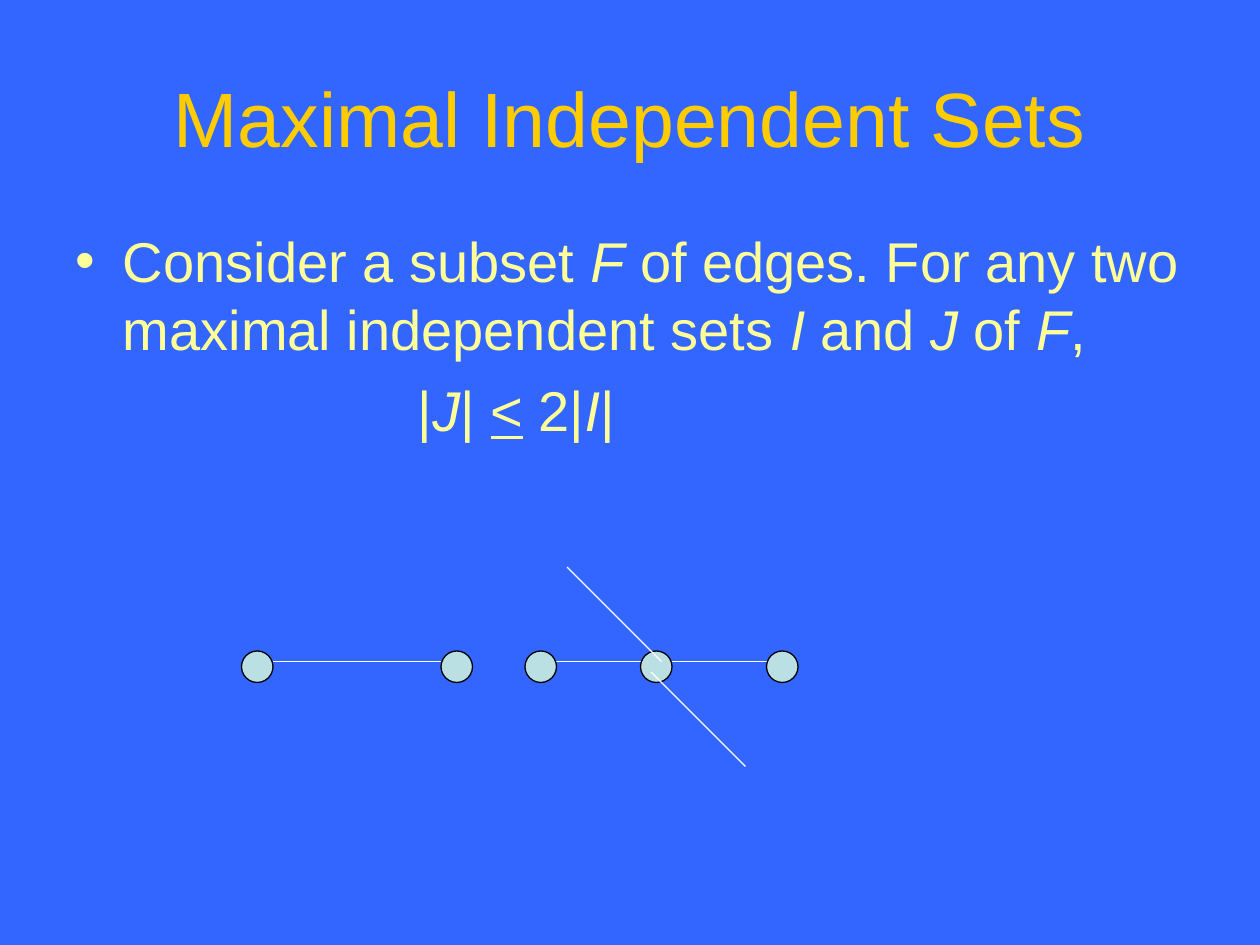
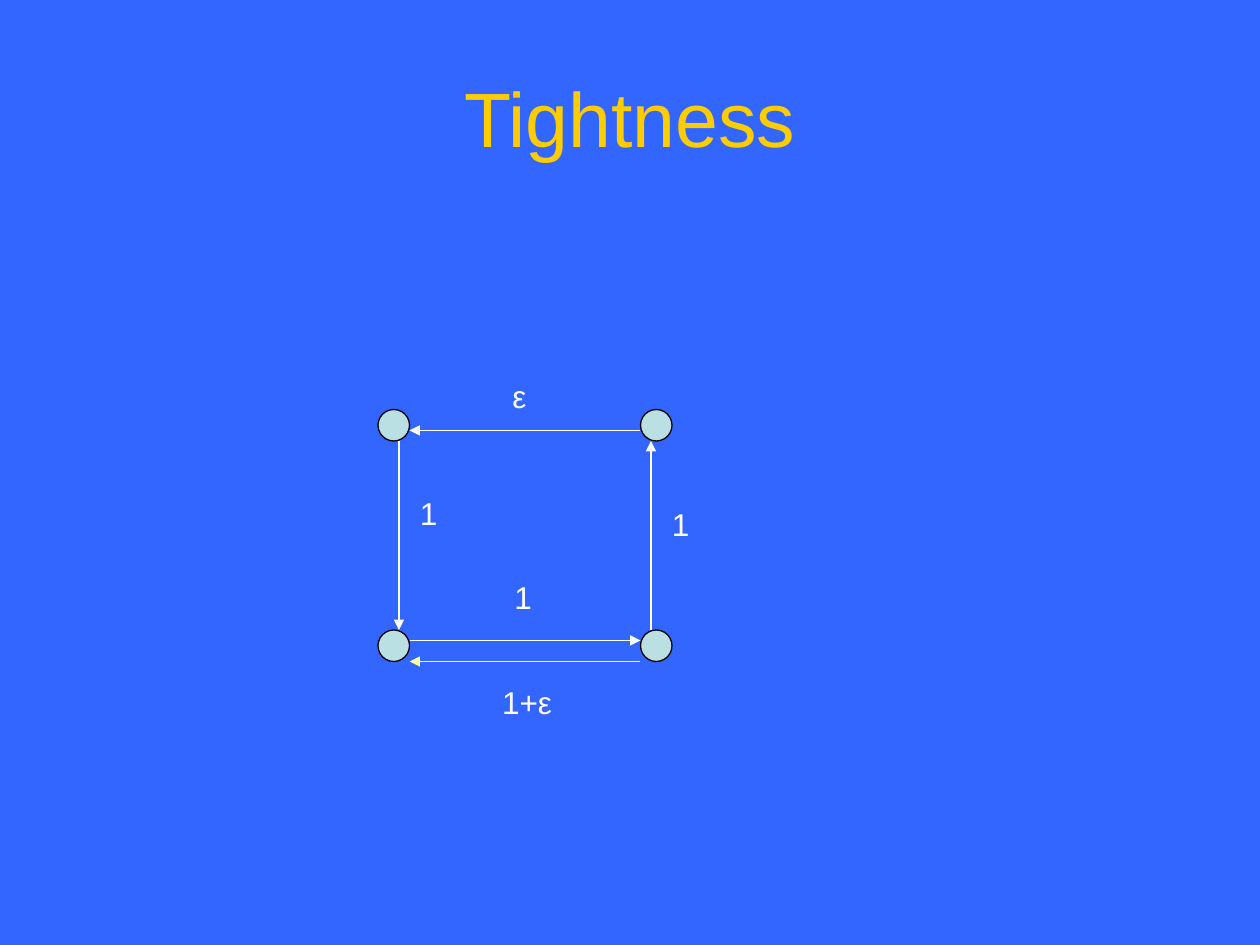
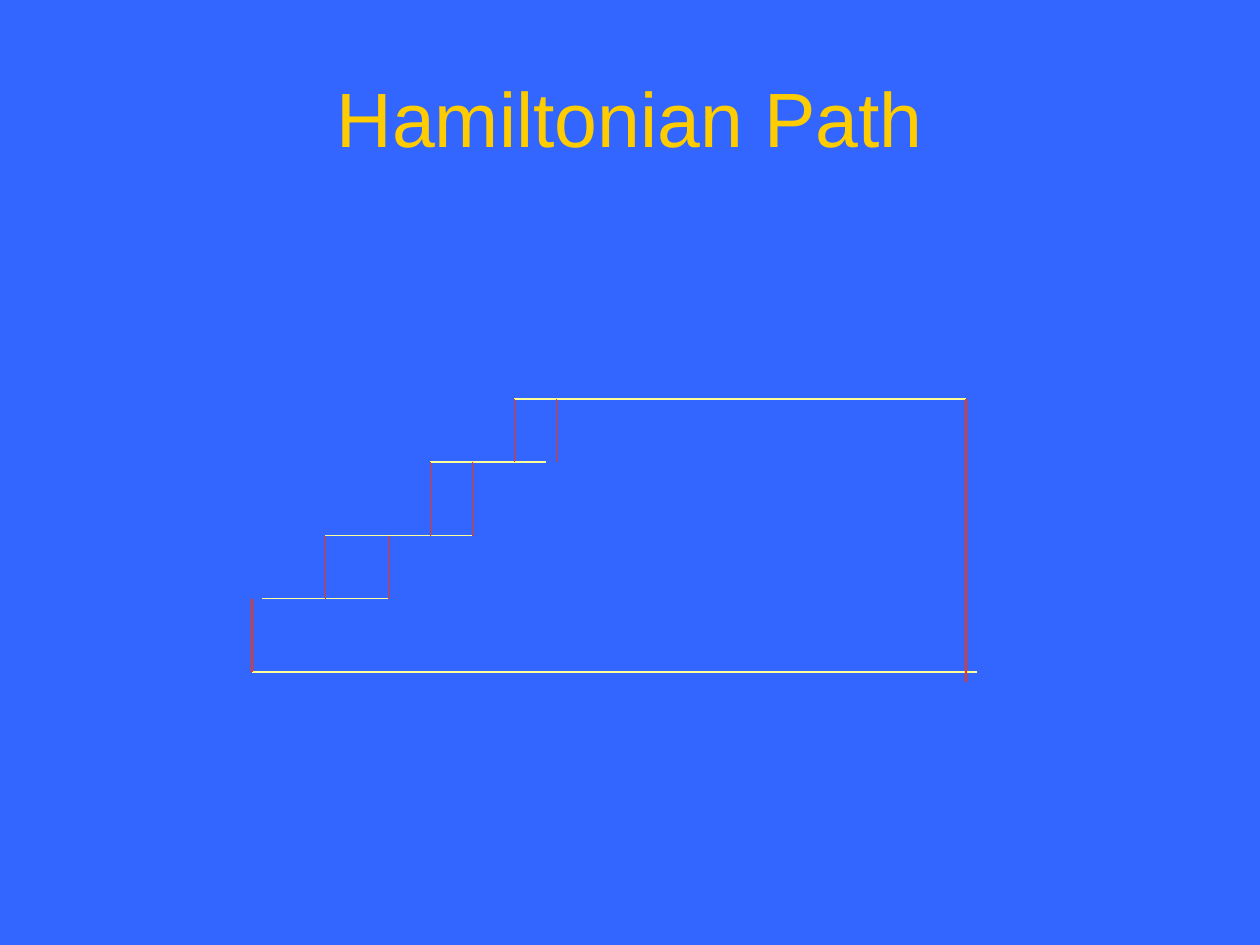
from typing import NamedTuple

from pptx import Presentation
from pptx.dml.color import RGBColor
from pptx.enum.shapes import MSO_CONNECTOR, MSO_SHAPE
from pptx.enum.text import MSO_ANCHOR, MSO_AUTO_SIZE, PP_ALIGN
from pptx.oxml.ns import qn
from pptx.slide import Slide
from pptx.util import Length, Pt

# Shared style
COLORS = {
    "background": "3366FF",
    "title": "FFCC00",
    "body": "FFFF99",
    "white": "FFFFFF",
    "node": "BBE0E3",
    "black": "000000",
    "riser": "FF3300",
}
FONT = "Arial"
GRID = 6  # points per drawing unit
NODE_SIZE = 3
LINE_WIDTH = 0.74
BODY_LAYOUT, TITLE_LAYOUT = 1, 5


class Edge(NamedTuple):
    """A straight line; ends are in grid units."""
    x1: float
    y1: float
    x2: float
    y2: float
    color: str = "white"
    arrow: bool = False


class Node(NamedTuple):
    """A graph vertex; its corner is in grid units."""
    left: float
    top: float


class Label(NamedTuple):
    """An edge weight; its box is in points."""
    text: str
    left: float
    top: float
    width: float


class Part(NamedTuple):
    """A stretch of text in one style."""
    text: str
    italic: bool = False
    underline: bool = False


def rgb(name: str) -> RGBColor:
    return RGBColor.from_string(COLORS[name])


def grid(units: float) -> Length:
    return Pt(units * GRID)


def style_font(font, size: float, color: str) -> None:
    font.name = FONT
    font.size = Pt(size)
    font.color.rgb = rgb(color)


def place(shape, left: float, top: float, width: float, height: float) -> None:
    shape.left, shape.top = Pt(left), Pt(top)
    shape.width, shape.height = Pt(width), Pt(height)


def add_slide(presentation, title: str, layout: int = TITLE_LAYOUT) -> Slide:
    slide = presentation.slides.add_slide(presentation.slide_layouts[layout])
    shape = slide.shapes.title
    place(shape, 36, 21.6, 648, 90)
    frame = shape.text_frame
    frame.text = title
    frame.auto_size = MSO_AUTO_SIZE.NONE
    frame.vertical_anchor = MSO_ANCHOR.MIDDLE
    paragraph = frame.paragraphs[0]
    paragraph.alignment = PP_ALIGN.CENTER
    style_font(paragraph.font, 44, "title")
    return slide


def fill_paragraph(paragraph, parts: list[Part], margin: float, bullet: bool) -> None:
    paragraph.space_before = Pt(8)
    style_font(paragraph.font, 32, "body")
    for part in parts:
        run = paragraph.add_run()
        run.text = part.text
        run.font.italic = part.italic
        run.font.underline = part.underline
    properties = paragraph._p.get_or_add_pPr()
    properties.set("marL", str(Pt(margin)))
    properties.set("indent", str(-Pt(margin) if bullet else 0))
    if not bullet:
        no_bullet = properties.makeelement(qn("a:buNone"), {})
        properties.find(qn("a:spcBef")).addnext(no_bullet)


def draw_edge(slide: Slide, edge: Edge) -> None:
    ends = [grid(value) for value in edge[:4]]
    connector = slide.shapes.add_connector(MSO_CONNECTOR.STRAIGHT, *ends)
    connector.line.color.rgb = rgb(edge.color)
    connector.line.width = Pt(LINE_WIDTH)
    properties = connector._element.spPr
    line = properties.find(qn("a:ln"))
    line.append(line.makeelement(qn("a:miter"), {"lim": "800000"}))
    if edge.arrow:
        line.append(line.makeelement(qn("a:tailEnd"), {"type": "triangle"}))
    properties.append(properties.makeelement(qn("a:effectLst"), {}))


def draw_node(slide: Slide, node: Node) -> None:
    size = grid(NODE_SIZE)
    shape = slide.shapes.add_shape(
        MSO_SHAPE.OVAL, grid(node.left), grid(node.top), size, size)
    shape.shadow.inherit = False
    shape.fill.solid()
    shape.fill.fore_color.rgb = rgb("node")
    shape.line.color.rgb = rgb("black")
    shape.line.width = Pt(LINE_WIDTH)


def draw_label(slide: Slide, label: Label) -> None:
    box = slide.shapes.add_textbox(
        Pt(label.left), Pt(label.top), Pt(label.width), Pt(28.8))
    frame = box.text_frame
    frame.text = label.text
    frame.word_wrap = False
    frame.auto_size = MSO_AUTO_SIZE.SHAPE_TO_FIT_TEXT
    style_font(frame.paragraphs[0].font, 18, "white")


def build_independent_sets(presentation) -> None:
    slide = add_slide(presentation, "Maximal Independent Sets", BODY_LAYOUT)
    body = slide.placeholders[1]
    place(body, 36, 126, 648, 356.4)
    frame = body.text_frame
    frame.auto_size = MSO_AUTO_SIZE.NONE
    statement = [
        Part("Consider a subset "), Part("F", italic=True),
        Part(" of edges. For any two maximal independent sets "),
        Part("I", italic=True), Part(" and "), Part("J", italic=True),
        Part(" of "), Part("F", italic=True), Part(","),
    ]
    bound = [
        Part("|"), Part("J", italic=True), Part("| "), Part("<", underline=True),
        Part(" 2|"), Part("I", italic=True), Part("|"),
    ]
    fill_paragraph(frame.paragraphs[0], statement, margin=27, bullet=True)
    fill_paragraph(frame.add_paragraph(), bound, margin=195.5, bullet=False)

    # Two paths, with the crossing edges in front of the nodes
    for edge in (Edge(26, 63, 42, 63), Edge(53, 63, 74, 63)):
        draw_edge(slide, edge)
    for left in (23, 42, 50, 61, 73):
        draw_node(slide, Node(left, 62))
    for edge in (Edge(63, 63, 54, 54), Edge(62, 64, 71, 73)):
        draw_edge(slide, edge)


def build_tightness(presentation) -> None:
    slide = add_slide(presentation, "Tightness")
    for left in (36, 61):
        for top in (39, 60):
            draw_node(slide, Node(left, top))
    edges = [
        Edge(38, 42, 38, 60, arrow=True),
        Edge(39, 61, 61, 61, arrow=True),
        Edge(62, 60, 62, 42, arrow=True),
        Edge(61, 41, 39, 41, arrow=True),
        Edge(61, 63, 39, 63, "body", arrow=True),
    ]
    for edge in edges:
        draw_edge(slide, edge)
    labels = [
        Label("1", 376.8, 285, 24.6),
        Label("1", 232.8, 278.6, 24.6),
        Label("1", 286.8, 326.9, 24.6),
        Label("1+ε", 279.8, 386.6, 44),
        Label("ε", 285.8, 211.7, 22.4),
    ]
    for label in labels:
        draw_label(slide, label)


def build_hamiltonian_path(presentation) -> None:
    slide = add_slide(presentation, "Hamiltonian Path")
    # Steps from the bottom up: each tread spans columns at one level
    levels = (64, 57, 51, 44, 38)
    treads = ((24, 93), (25, 37), (31, 45), (41, 52), (49, 92))
    for level, (start, end) in zip(levels, treads):
        draw_edge(slide, Edge(start, level, end, level, "body"))
    # Risers join each level to the next one up
    riser_columns = ((24,), (31, 37), (41, 45), (49, 53))
    for bottom, top, columns in zip(levels, levels[1:], riser_columns):
        for column in columns:
            draw_edge(slide, Edge(column, top, column, bottom, "riser"))
    draw_edge(slide, Edge(92, 38, 92, 65, "riser"))


def main() -> None:
    presentation = Presentation()
    presentation.slide_width, presentation.slide_height = Pt(720), Pt(540)
    background = presentation.slide_master.background.fill
    background.solid()
    background.fore_color.rgb = rgb("background")
    build_independent_sets(presentation)
    build_tightness(presentation)
    build_hamiltonian_path(presentation)
    presentation.save("out.pptx")


if __name__ == "__main__":
    main()
